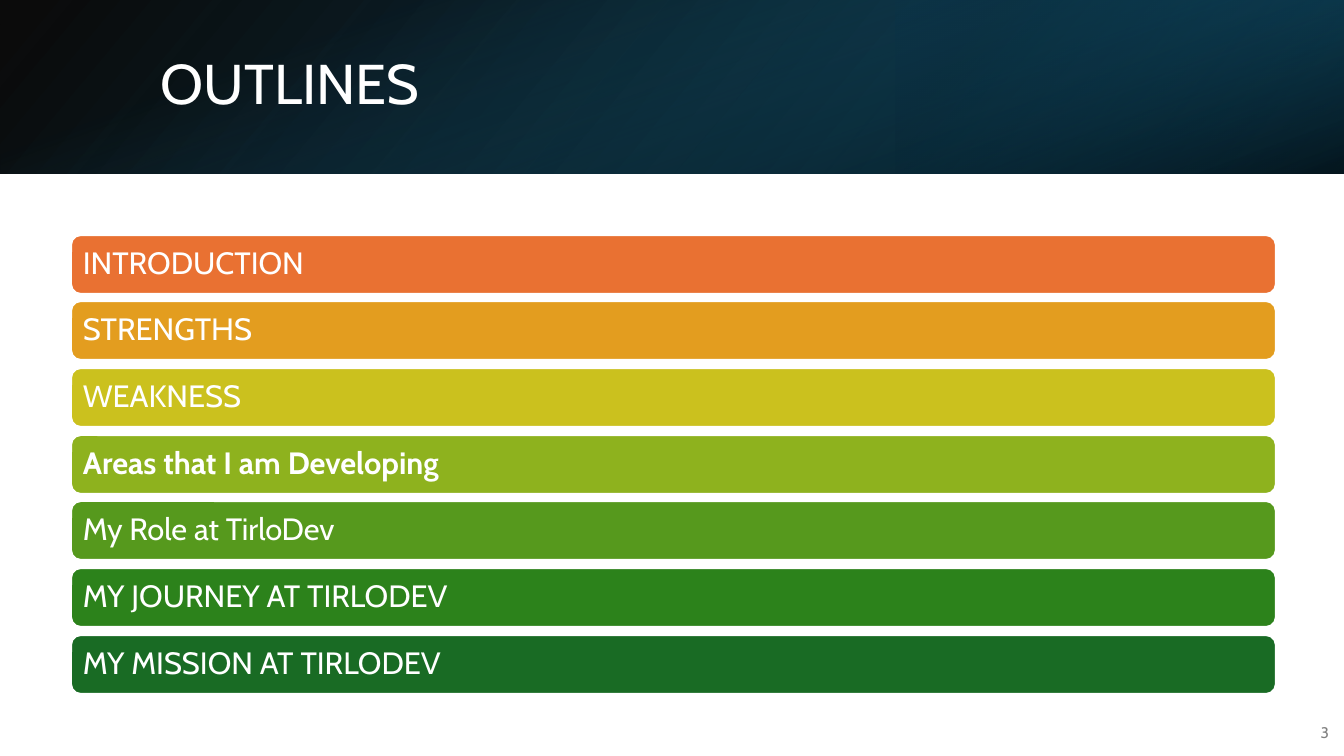
"""Build the outline slide: a gradient title band over seven coloured bars."""
from dataclasses import dataclass

from lxml import etree
from pptx import Presentation, util as u
from pptx.dml.color import RGBColor
from pptx.enum import shapes, text
from pptx.oxml.ns import qn

PX = 914400 / 100.8
WIDE, HIGH, BAND = 1344, 756, 174


@dataclass(frozen=True)
class Theme:
    font: str = "Cabin"
    white: str = "FFFFFF"
    gray: str = "808080"
    black: str = "000000"
    navy: str = "104862"
    deep: str = "0B3041"
    teal: str = "156082"
    head: int = 40
    body: int = 22
    note: int = 11


class Deck:
    def __init__(self, theme):
        self.theme = theme
        self.file = Presentation()
        self.file.slide_width, self.file.slide_height = self.scale(WIDE, HIGH)
        self.slide = self.file.slides.add_slide(self.file.slide_layouts[6])

    def scale(self, *sizes):
        return [u.Emu(round(size * PX)) for size in sizes]

    def shape(self, kind, box):
        item = self.slide.shapes.add_shape(kind, *self.scale(*box))
        item.shadow.inherit = False
        return item

    def shade(self, box, stops, angle, turn=0, flip=False):
        item = self.shape(shapes.MSO_SHAPE.RECTANGLE, box)
        item.line.fill.background()
        item.rotation = turn
        if flip:
            item.element.spPr.find(qn("a:xfrm")).set("flipH", "1")
        item.fill.gradient()
        item.fill.gradient_angle = 360 - angle
        for stop, (place, color, alpha) in zip(item.fill.gradient_stops, stops):
            stop.position = place / 100
            stop.color.rgb = RGBColor.from_string(color)
        tints = item.element.spPr.iter(qn("a:srgbClr"))
        for tint, (place, color, alpha) in zip(list(tints), stops):
            etree.SubElement(tint, qn("a:alpha")).set("val", str(alpha * 1000))

    def letter(self, item, words, size, color, bold=False, inset=None, **look):
        frame = item.text_frame
        frame.word_wrap = True
        frame.vertical_anchor = text.MSO_ANCHOR.MIDDLE
        if inset is not None:
            for side in ("left", "top", "right", "bottom"):
                setattr(frame, f"margin_{side}", self.scale(inset)[0])
        line = frame.paragraphs[0]
        for name, value in look.items():
            setattr(line, name, value)
        run = line.add_run()
        run.text = words
        style = {"name": self.theme.font, "size": u.Pt(size), "bold": bold}
        for name, value in style.items():
            setattr(run.font, name, value)
        run.font.color.rgb = RGBColor.from_string(color)

    def label(self, box, words, size, color, **look):
        item = self.slide.shapes.add_textbox(*self.scale(*box))
        self.letter(item, words, size, color, **look)

    def bar(self, box, words, color, bold):
        item = self.shape(shapes.MSO_SHAPE.ROUNDED_RECTANGLE, box)
        item.fill.solid()
        item.fill.fore_color.rgb = RGBColor.from_string(color)
        item.line.color.rgb = RGBColor.from_string(self.theme.white)
        item.line.width = u.Pt(1.5)
        self.letter(item, words, self.theme.body, self.theme.white, bold, inset=9,
                    alignment=text.PP_ALIGN.LEFT, line_spacing=0.9)


TOPICS = [
    ("INTRODUCTION", "E97132", False),
    ("STRENGTHS", "E39D1F", False),
    ("WEAKNESS", "CBC11E", False),
    ("Areas that I am Developing", "8EB21E", True),
    ("My Role at TirloDev", "56991D", False),
    ("MY JOURNEY AT TIRLODEV", "2C821B", False),
    ("MY MISSION AT TIRLODEV", "196B24", False),
]


def main():
    theme = Theme()
    deck = Deck(theme)
    deck.shade((0, 0, WIDE, BAND),
               [(0, theme.black, 96), (100, theme.navy, 100)], 140, flip=True)
    deck.shade((WIDE * 2 // 3, 0, WIDE // 3, BAND),
               [(19, theme.deep, 68), (100, theme.teal, 79)], 320, 180, True)
    side = (WIDE - BAND) // 2
    deck.shade((side, -side, BAND, WIDE),
               [(23, theme.teal, 0), (99, theme.black, 74)], 340, 90)
    deck.label((151, 38, 1106, 97), "OUTLINES", theme.head, theme.white,
               line_spacing=0.9)
    deck.label((1290, 712, 49, 40), "3", theme.note, theme.gray,
               alignment=text.PP_ALIGN.RIGHT, space_after=u.Pt(6))
    for row, (words, color, bold) in enumerate(TOPICS):
        deck.bar((71, 235 + row * 400 // 6, 1205, 59), words, color, bold)
    deck.file.save("out.pptx")


if __name__ == "__main__":
    main()
